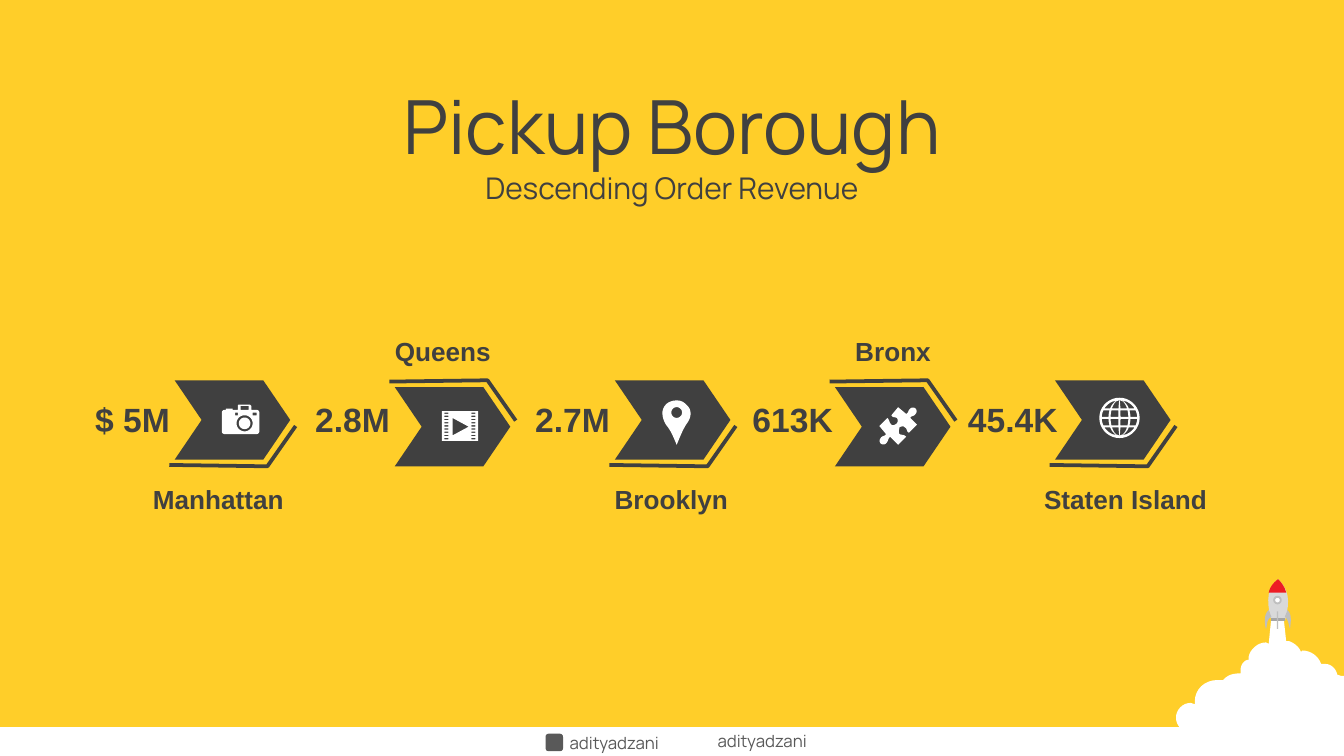
from dataclasses import dataclass
from math import cos, pi, sin, sqrt

from pptx import Presentation
from pptx.dml.color import RGBColor
from pptx.enum.shapes import MSO_SHAPE
from pptx.enum.text import MSO_ANCHOR, MSO_AUTO_SIZE, PP_ALIGN
from pptx.util import Inches, Pt

RECTANGLE, OVAL = MSO_SHAPE.RECTANGLE, MSO_SHAPE.OVAL
CHEVRON, ROUNDED = MSO_SHAPE.CHEVRON, MSO_SHAPE.ROUNDED_RECTANGLE
LEFT, CENTER = PP_ALIGN.LEFT, PP_ALIGN.CENTER
TOP, MIDDLE = MSO_ANCHOR.TOP, MSO_ANCHOR.MIDDLE
FIT_SHAPE = MSO_AUTO_SIZE.SHAPE_TO_FIT_TEXT


@dataclass(frozen=True)
class Theme:
    """Colours, fonts and type sizes of the slide."""
    yellow: str = "FFCE29"
    dark: str = "404040"
    muted: str = "595959"
    white: str = "FFFFFF"
    red: str = "ED1C24"
    silver: str = "D9D9D9"
    steel: str = "BFBFBF"
    band: str = "A6A6A6"
    heading_font: str = "Manrope"
    label_font: str = "Arial"
    title: int = 40
    subtitle: int = 16
    value: int = 18
    label: int = 14
    footer: int = 9


THEME = Theme()
CURVE_STEPS = 8
SLIDE_WIDTH = 10
SLIDE_HEIGHT = SLIDE_WIDTH * 9 / 16

SMOKE = """M 71 0 L 80 0 L 82 18 L 84 18 C 87 19 90 21 92 24 L 93 26 L 94 25
    C 100 25 106 29 108 35 L 111 35 C 115 35 119 38 120 43 L 123 44 L 125 44
    L 125 102 L 11 102 L 11 86 C 5 86 0 81 0 75 C 0 69 5 64 11 64 L 14 65
    L 14 63 C 14 54 21 47 31 47 L 35 47 L 36 46 C 39 43 43 42 48 42 L 48 40
    C 48 36 50 33 53 32 L 54 32 L 54 30 C 55 24 61 19 67 19 L 69 20 Z"""
HULL = "M 6 31 C 4 22 0 9 11 0 C 22 10 18 23 16 31 Z"
NOSE = "M 11 0 C 14 3 16 6 17 10 L 4 10 C 5 6 7 3 11 0 Z"
LEFT_FIN = "M 4 23 L 6 28 C 2 30 3 35 2 37 C 1 34 0 26 4 23 Z"
RIGHT_FIN = "M 18 23 L 16 28 C 19 30 19 35 20 37 C 20 34 22 26 18 23 Z"
CAMERA = """M 13 0 L 21 0 C 21 0 22 1 22 1 L 22 4 L 26 4 C 27 4 28 5 28 6
    L 28 20 C 28 21 27 22 26 22 L 2 22 C 1 22 0 21 0 20 L 0 6 C 0 5 1 4 2 4
    L 3 4 L 3 3 L 8 3 L 8 4 L 12 4 L 12 1 C 12 1 12 0 13 0 Z
    M 14 1 L 14 4 L 20 4 L 20 1 Z M 10 6 L 10 8 L 12 8 L 12 6 Z
    M 23 6 L 23 8 L 26 8 L 26 6 Z"""
PIN = """M 10 0 C 13 0 15 1 17 3 C 22 7 21 13 17 18 C 14 23 13 26 10 33
    C 7 26 6 23 2 18 C -1 13 -2 7 2 3 C 4 1 7 0 10 0 Z"""
PUZZLE = """M 27 1 C 28 2 28 4 27 5 C 26 7 24 6 23 8 L 28 13 L 22 19
    C 20 18 21 16 19 15 C 18 14 17 14 15 15 C 15 16 14 18 15 20
    C 17 21 18 20 20 22 L 14 28 L 8 22 C 6 24 7 25 5 27 C 4 28 2 28 1 27
    C 0 26 0 24 1 23 C 2 21 4 22 5 20 L 0 14 L 6 8 C 8 10 7 11 9 13
    C 10 14 12 13 13 12 C 14 11 14 9 13 8 C 11 7 10 8 9 6 L 14 0 L 20 5
    C 22 4 21 3 23 1 C 24 0 26 0 27 1 Z"""


def trace(path):
    """Turn path commands in hundredths of an inch into lists of points."""
    tokens, contours = iter(path.split()), []
    for command in tokens:
        if command == "Z":
            continue
        numbers = [float(next(tokens)) for _ in range(6 if command == "C" else 2)]
        pairs = list(zip(numbers[::2], numbers[1::2]))
        if command == "M":
            contours.append(pairs)
        elif command == "L":
            contours[-1] += pairs
        else:
            corners = [contours[-1][-1], *pairs]
            for step in range(1, CURVE_STEPS + 1):
                t = step / CURVE_STEPS
                weights = ((1 - t) ** 3, 3 * t * (1 - t) ** 2, 3 * t * t * (1 - t), t ** 3)
                contours[-1].append(tuple(
                    sum(weight * corner[axis] for weight, corner in zip(weights, corners))
                    for axis in (0, 1)))
    return contours


def rectangle(x, y, width, height):
    """Return the corners of a rectangle."""
    return [(x, y), (x + width, y), (x + width, y + height), (x, y + height)]


def circle(x, y, radius, count=36):
    """Return points round a circle."""
    turns = [2 * pi * index / count for index in range(count)]
    return [(x + radius * cos(turn), y + radius * sin(turn)) for turn in turns]


def film_contours():
    """Return a film frame with sprocket holes and a play sign."""
    holes = [rectangle(x, 1 + 2.36 * row, 3, 1) for row in range(9) for x in (2, 22)]
    return [rectangle(0, 0, 27, 22), [(8, 5), (8, 18), (20, 11.5)], *holes]


def globe_contours(center=15, outer=15, inner=13.2):
    """Return a disc cut into cells by meridians and parallels."""
    contours = [circle(center, center, outer)]
    for top, bottom in ((-13.2, -7), (-5.6, -0.7), (0.7, 5.6), (7, 13.2)):
        heights = [top + (bottom - top) * step / 6 for step in range(7)]
        for west, east in ((-1, -0.62), (-0.5, -0.06), (0.06, 0.5), (0.62, 1)):
            sides = [[(center + edge * sqrt(max(0, inner ** 2 - y ** 2)), center + y)
                      for y in heights] for edge in (west, east)]
            contours.append(sides[0] + sides[1][::-1])
    return contours


STEPS = (
    ("$ 5M", "Manhattan", 0.63, trace(CAMERA) + [circle(17, 14, 6), circle(17, 14, 4.3)], 0.35, 0.18),
    ("2.8M", "Queens", 2.3, film_contours(), 0.35, 0.23),
    ("2.7M", "Brooklyn", 4, trace(PIN) + [circle(10, 9, 4)], 0.36, 0.15),
    ("613K", "Bronx", 5.65, trace(PUZZLE), 0.33, 0.2),
    ("45.4K", "Staten Island", 7.38, globe_contours(), 0.33, 0.13),
)


def paint(shape, fill=None, line=None, width=1):
    """Set fill and line and remove the shadow."""
    shape.shadow.inherit = False
    for part, color in ((shape.fill, fill), (shape.line.fill, line)):
        if color:
            part.solid()
            part.fore_color.rgb = RGBColor.from_string(color)
        else:
            part.background()
    if line:
        shape.line.width = Pt(width)


def add_preset(slide, kind, box, fill, line=None):
    """Add a preset shape in a box."""
    shape = slide.shapes.add_shape(kind, *map(Inches, box))
    paint(shape, fill, line)
    return shape


def add_outline(slide, left, top, contours, fill=None, line=None, width=1):
    """Add a freeform whose points lie relative to left and top."""
    placed = [[(Inches(left + x / 100), Inches(top + y / 100)) for x, y in contour]
              for contour in contours]
    builder = slide.shapes.build_freeform(*placed[0][0])
    for index, contour in enumerate(placed):
        if index:
            builder.move_to(*contour[0])
        builder.add_line_segments(contour[1:], close=fill is not None)
    paint(builder.convert_to_shape(), fill, line, width)


def add_text(slide, box, text, size, color, font, bold=False,
             align=CENTER, anchor=MIDDLE, wrap=True, fit=True):
    """Add one line of text in a box."""
    frame = slide.shapes.add_textbox(*map(Inches, box)).text_frame
    frame.word_wrap = wrap
    frame.vertical_anchor = anchor
    if fit:
        frame.auto_size = FIT_SHAPE
    paragraph = frame.paragraphs[0]
    paragraph.alignment = align
    run = paragraph.add_run()
    run.text = text
    run.font.size, run.font.bold, run.font.name = Pt(size), bold, font
    run.font.color.rgb = RGBColor.from_string(color)


def add_heading(slide, left, top, width):
    """Add the title and subtitle."""
    for text, size, offset, height in (
            ("Pickup Borough", THEME.title, 0, 0.63),
            ("Descending Order Revenue", THEME.subtitle, 0.63, 0.31)):
        add_text(slide, (left, top + offset, width, height), text, size,
                 THEME.dark, THEME.heading_font, fit=False)


def add_rocket(slide, left, top):
    """Add the rocket on its cloud of smoke."""
    add_outline(slide, left, top + 0.28, trace(SMOKE), THEME.white)
    left += 0.65
    for contours, color in ((trace(HULL), THEME.silver),
                            ([rectangle(6, 29, 10, 2)], THEME.band),
                            (trace(NOSE), THEME.red)):
        add_outline(slide, left, top, contours, color)
    add_preset(slide, OVAL, (left + 0.08, top + 0.13, 0.05, 0.05), THEME.white, THEME.steel)
    add_preset(slide, RECTANGLE, (left + 0.1, top + 0.24, 0.01, 0.13), THEME.steel)
    for fin in (LEFT_FIN, RIGHT_FIN):
        add_outline(slide, left, top, trace(fin), THEME.steel)


def add_step(slide, left, top, step, raised):
    """Add a chevron with its accent line, icon, value and borough."""
    value, borough, label_left, icon, icon_x, icon_y = step
    chevron = add_preset(slide, CHEVRON, (left, top + 0.05 * raised, 0.86, 0.59), THEME.dark)
    chevron.adjustments[0] = 0.34
    accent = [(90, 34), (69, 64), (-4, 63)]
    if raised:
        accent = [(x, 64 - y) for x, y in accent]
    add_outline(slide, left, top, [accent], line=THEME.dark, width=2)
    add_outline(slide, left + icon_x, top + icon_y, icon, THEME.white)
    add_text(slide, (left - 0.76, top + 0.09, 0.89, 0.4), value, THEME.value,
             THEME.dark, THEME.label_font, True)
    label_top = top - 0.38 if raised else top + 0.72
    add_text(slide, (label_left, label_top, 1.99, 0.34), borough, THEME.label,
             THEME.dark, THEME.label_font, True, anchor=TOP)


def add_footer(slide, left, top):
    """Add the contact names with a plain badge."""
    add_preset(slide, ROUNDED, (left, top + 0.06, 0.13, 0.13), THEME.muted)
    for x, y in ((0.08, 0), (1.18, -0.01)):
        add_text(slide, (left + x, top + y, 0.95, 0.25), "adityadzani", THEME.footer,
                 THEME.muted, THEME.heading_font, align=LEFT, anchor=TOP, wrap=False)


def main():
    """Build and save the slide."""
    presentation = Presentation()
    presentation.slide_width, presentation.slide_height = Inches(SLIDE_WIDTH), Inches(SLIDE_HEIGHT)
    slide = presentation.slides.add_slide(presentation.slide_layouts[6])
    slide.background.fill.solid()
    slide.background.fill.fore_color.rgb = RGBColor.from_string(THEME.yellow)
    add_preset(slide, RECTANGLE, (0, 5.41, SLIDE_WIDTH, 0.24), THEME.white)
    add_rocket(slide, 8.75, 4.31)
    add_heading(slide, 0, 0.61, SLIDE_WIDTH)
    pitch = 6.55 / (len(STEPS) - 1)
    for index, step in enumerate(STEPS):
        add_step(slide, 1.3 + pitch * index, 2.83, step, index % 2 == 1)
    add_footer(slide, 4.06, 5.4)
    presentation.save("out.pptx")


if __name__ == "__main__":
    main()
